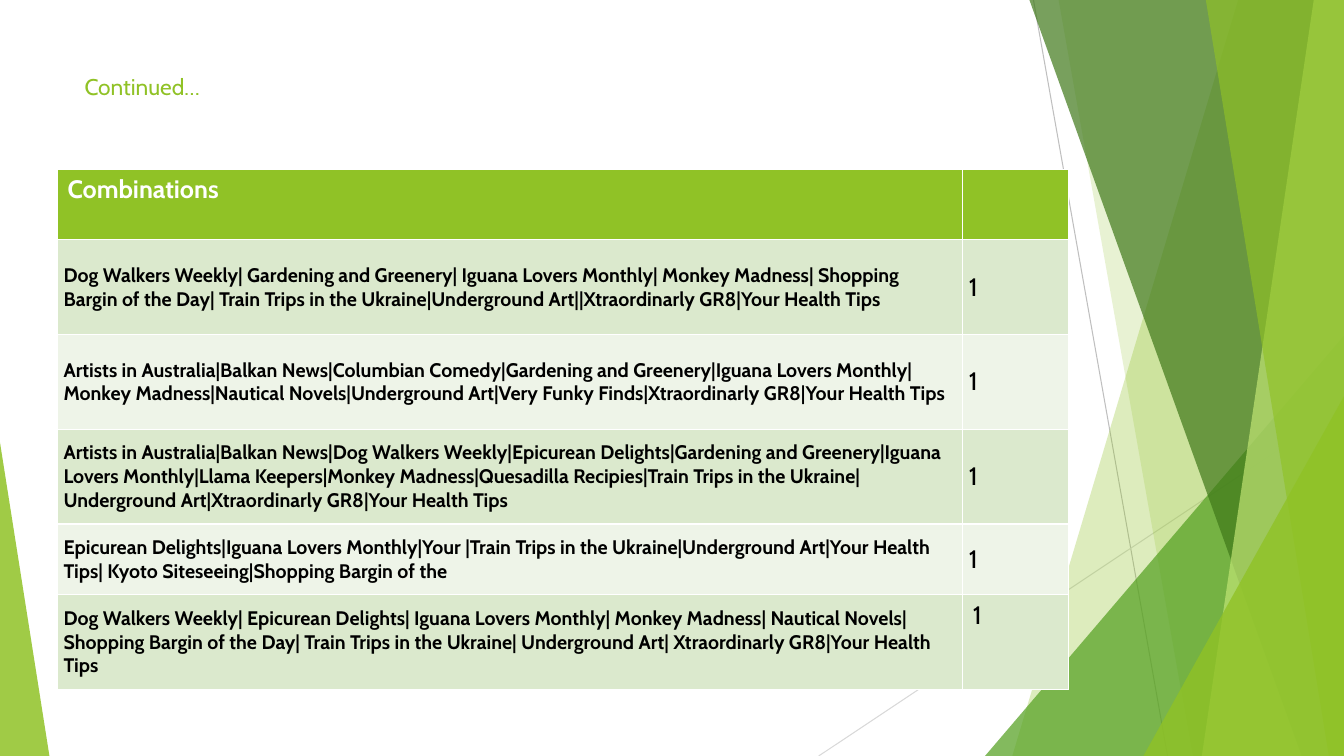
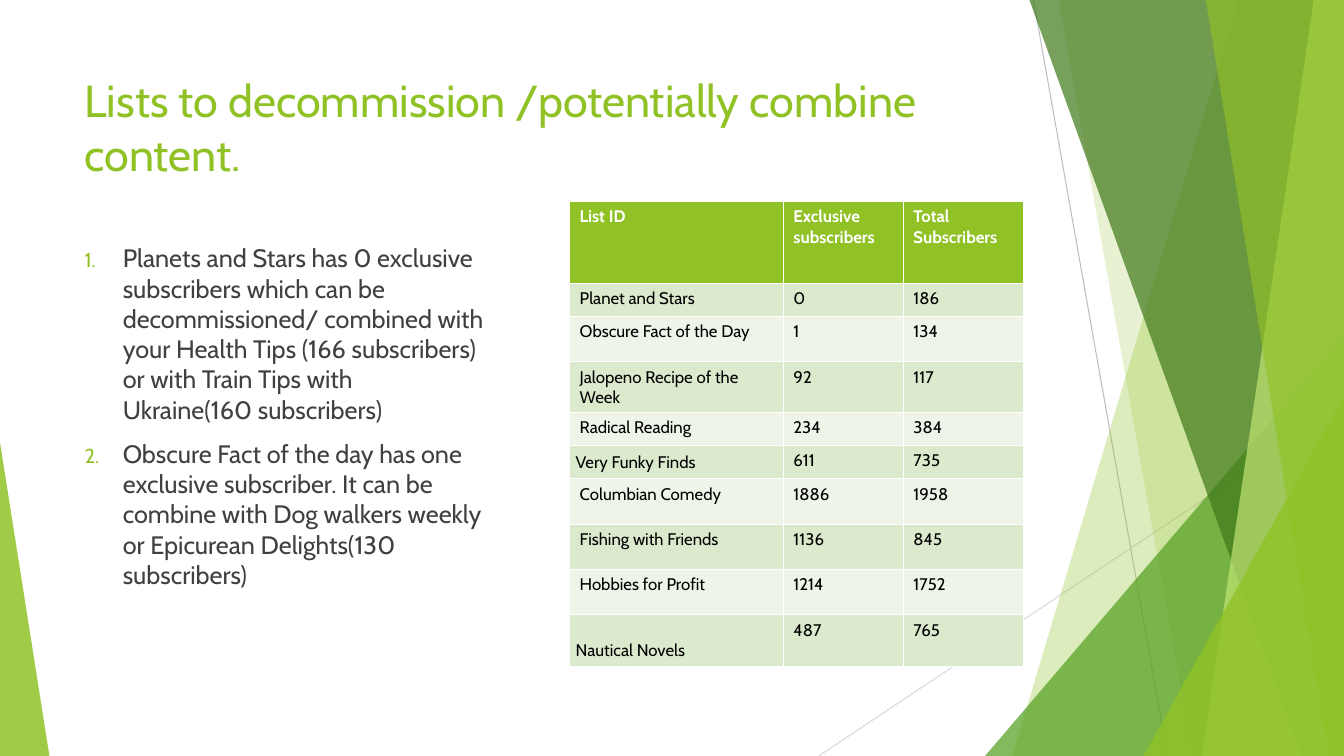
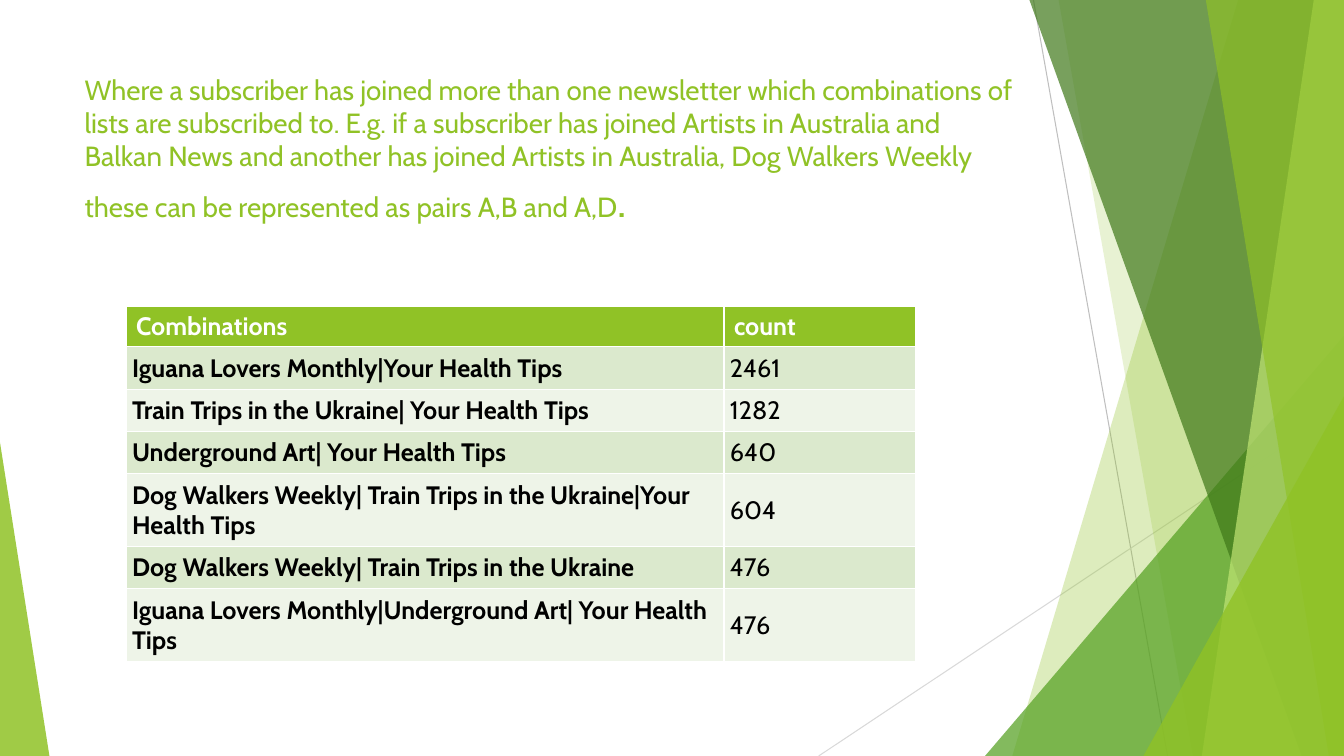
from lxml import etree
from pptx import Presentation
from pptx.dml.color import RGBColor
from pptx.enum import shapes, text
from pptx.oxml.ns import qn
from pptx.util import Inches, Pt

FONT = "Cabin"
GREEN, LEAF, FOREST, LIME = "90C226", "54A021", "3F7819", "C0E474"
BANDS = ["DBE9CD", "EEF4E8"]
WHITE, BLACK, BODY_GREY = "FFFFFF", "000000", "404040"
WIDTH, HEIGHT = 13.33, 7.5
TITLE_BOX = [Inches(v) for v in (0.74, 0.67, 9.4, 1.14)]
SNUG = Inches(0.06)

# Thin lines: x1, y1, x2, y2, colour
RAYS = [(10.25, 0, 11.58, 7.5, "BFBFBF"), (13.33, 4.03, 8.12, 7.5, "D9D9D9")]

# Bands reach the right edge and give (top x, bottom x);
# triangles give (left, top, width, height, apex). Then colour and opacity.
FACETS = [
    ((12.28, 10.04), GREEN, 30),
    ((10.5, 11.83), GREEN, 20),
    ((9.77, 3.33, 3.56, 4.17, 1), LEAF, 72),
    ((10.21, 12.91), FOREST, 70),
    ((13.03, 11.92), LIME, 70),
    ((11.96, 13.18), GREEN, 65),
    ((11.34, 3.93, 1.99, 3.57, 1), GREEN, 80),
    ((0, 4.39, 0.49, 3.11, 0), GREEN, 85),
]

ADVICE = [
    "Planets and Stars has 0 exclusive subscribers which can be decommissioned/ combined with "
    "your Health Tips (166 subscribers) or with Train Tips with Ukraine(160 subscribers)",
    "Obscure Fact of the day has one exclusive subscriber. It can be combine with Dog walkers "
    "weekly or Epicurean Delights(130 subscribers)",
]

# sizes and bold apply to the body, column by column; snug cells have small margins
PAGES = [
    {
        "title": [("Continued…", 16.2)],
        "advice": [],
        "corner": (0.57, 1.68),
        "columns": [8.98, 1.05],
        "heights": [0.7, 0.94, 0.94, 0.94, 0.7, 0.94],
        "header_size": 18, "sizes": [14, 18], "bold": [True, False],
        "snug": [(r, c) for r in range(1, 6) for c in range(2) if (r, c) != (5, 1)],
        "rows": [
            ("Combinations", ""),
            ("Dog Walkers Weekly| Gardening and Greenery| Iguana Lovers Monthly| Monkey Madness| "
             "Shopping Bargin of the Day| Train Trips in the Ukraine|Underground Art||"
             "Xtraordinarly GR8|Your Health Tips", "1"),
            ("Artists in Australia|Balkan News|Columbian Comedy|Gardening and Greenery|"
             "Iguana Lovers Monthly|Monkey Madness|Nautical Novels|Underground Art|"
             "Very Funky Finds|Xtraordinarly GR8|Your Health Tips", "1"),
            ("Artists in Australia|Balkan News|Dog Walkers Weekly|Epicurean Delights|"
             "Gardening and Greenery|Iguana Lovers Monthly|Llama Keepers|Monkey Madness|"
             "Quesadilla Recipies|Train Trips in the Ukraine|Underground Art|"
             "Xtraordinarly GR8|Your Health Tips", "1"),
            ("Epicurean Delights|Iguana Lovers Monthly|Your |Train Trips in the Ukraine|"
             "Underground Art|Your Health Tips| Kyoto Siteseeing|Shopping Bargin of the", "1"),
            ("Dog Walkers Weekly| Epicurean Delights| Iguana Lovers Monthly| Monkey Madness| "
             "Nautical Novels| Shopping Bargin of the Day| Train Trips in the Ukraine| "
             "Underground Art| Xtraordinarly GR8|Your Health Tips", "1"),
        ],
    },
    {
        "title": [("Lists to decommission /potentially combine content.", 32)],
        "advice": ADVICE,
        "corner": (5.65, 2),
        "columns": [2.12, 1.19, 1.19],
        "heights": [0.81, 0.33, 0.45, 0.5, 0.33, 0.33, 0.45, 0.45, 0.45, 0.51],
        "header_size": 12, "sizes": [12] * 3, "bold": [False] * 3,
        "snug": [(5, 0), (9, 0)],
        "rows": [
            ("List ID", "Exclusive subscribers", "Total Subscribers"),
            ("Planet and Stars", "0", "186"),
            ("Obscure Fact of the Day", "1", "134"),
            ("Jalopeno Recipe of the Week", "92", "117"),
            ("Radical Reading", "234", "384"),
            ("Very Funky Finds", "611", "735"),
            ("Columbian Comedy", "1886", "1958"),
            ("Fishing with Friends", "1136", "845"),
            ("Hobbies for Profit", "1214", "1752"),
            ("Nautical Novels", "487", "765"),
        ],
    },
    {
        "title": [
            ("Where a subscriber has joined more than one newsletter which combinations of lists "
             "are subscribed to. E.g. if a subscriber has joined Artists in Australia and Balkan "
             "News and another has joined Artists in Australia, Dog Walkers Weekly these can be "
             "represented as pairs A,B and A,D", 19.8),
            (".", 32.4),
        ],
        "advice": [],
        "corner": (1.25, 3.04),
        "columns": [5.93, 1.9],
        "heights": [0.4] * 7,
        "header_size": 18, "sizes": [18, 18], "bold": [True, False],
        "snug": [(r, c) for r in range(1, 7) for c in range(2)],
        "rows": [
            ("Combinations", "count"),
            ("Iguana Lovers Monthly|Your Health Tips", "2461"),
            ("Train Trips in the Ukraine| Your Health Tips", "1282"),
            ("Underground Art| Your Health Tips", "640"),
            ("Dog Walkers Weekly| Train Trips in the Ukraine|Your Health Tips", "604"),
            ("Dog Walkers Weekly| Train Trips in the Ukraine", "476"),
            ("Iguana Lovers Monthly|Underground Art| Your Health Tips", "476"),
        ],
    },
]


def paint(fill, colour):
    fill.solid()
    fill.fore_color.rgb = RGBColor.from_string(colour)


def write(paragraph, words, size, colour, bold=False):
    """Append one formatted run to the paragraph."""
    run = paragraph.add_run()
    run.text = words
    for name, value in {"name": FONT, "size": Pt(size), "bold": bold}.items():
        setattr(run.font, name, value)
    paint(run.font.fill, colour)


deck = Presentation()
deck.slide_width, deck.slide_height = Inches(WIDTH), Inches(HEIGHT)

for page in PAGES:
    slide = deck.slides.add_slide(deck.slide_layouts[6])

    # Faceted backdrop
    for *ends, colour in RAYS:
        ray = slide.shapes.add_connector(
            shapes.MSO_CONNECTOR.STRAIGHT, *[Inches(v) for v in ends])
        ray.line.width = Pt(0.75)
        paint(ray.line.fill, colour)
        etree.SubElement(ray._element.spPr, qn("a:effectLst"))
    for geometry, colour, opacity in FACETS:
        if len(geometry) == 2:
            top_x, bottom_x = geometry
            corners = [(Inches(x), Inches(y)) for x, y in (
                (top_x, 0), (WIDTH, 0), (WIDTH, HEIGHT), (bottom_x, HEIGHT))]
            outline = slide.shapes.build_freeform(*corners[0])
            outline.add_line_segments(corners[1:], close=True)
            facet = outline.convert_to_shape()
        else:
            *box, apex = geometry
            facet = slide.shapes.add_shape(
                shapes.MSO_SHAPE.ISOSCELES_TRIANGLE, *[Inches(v) for v in box])
            facet.adjustments[0] = apex
        facet.shadow.inherit = False
        facet.line.fill.background()
        paint(facet.fill, colour)
        tint = facet._element.spPr.find(qn("a:solidFill")).find(qn("a:srgbClr"))
        etree.SubElement(tint, qn("a:alpha"), val=str(opacity * 1000))

    title = slide.shapes.add_textbox(*TITLE_BOX).text_frame
    title.word_wrap = True
    for words, size in page["title"]:
        write(title.paragraphs[0], words, size, GREEN)

    # Numbered advice
    if page["advice"]:
        advice = slide.shapes.add_textbox(
            Inches(0.74), Inches(2.36), Inches(4.16), Inches(4.24)).text_frame
        advice.word_wrap = True
        for index, words in enumerate(page["advice"]):
            item = advice.add_paragraph() if index else advice.paragraphs[0]
            properties = item._p.get_or_add_pPr()
            properties.set("marL", str(Inches(0.38)))
            properties.set("indent", str(-Inches(0.38)))
            number_colour = etree.SubElement(properties, qn("a:buClr"))
            etree.SubElement(number_colour, qn("a:srgbClr"), val=GREEN)
            etree.SubElement(properties, qn("a:buSzPct"), val="80000")
            etree.SubElement(properties, qn("a:buFont"), typeface=FONT)
            etree.SubElement(properties, qn("a:buAutoNum"), type="arabicPeriod")
            item.space_before = Pt(10 if index else 0)
            write(item, words, 18, BODY_GREY)

    # Table
    rows, columns, heights = page["rows"], page["columns"], page["heights"]
    left, top = page["corner"]
    table = slide.shapes.add_table(
        len(rows), len(columns), Inches(left), Inches(top),
        Inches(sum(columns)), Inches(sum(heights))).table
    for column, width in zip(table.columns, columns):
        column.width = Inches(width)
    for r, (row, height) in enumerate(zip(rows, heights)):
        table.rows[r].height = Inches(height)
        for c, words in enumerate(row):
            cell = table.cell(r, c)
            paint(cell.fill, BANDS[(r - 1) % 2] if r else GREEN)
            if (r, c) in page["snug"]:
                cell.vertical_anchor = text.MSO_ANCHOR.MIDDLE
                for side in ("left", "top", "right", "bottom"):
                    setattr(cell, "margin_" + side, SNUG)
            if words == "Nautical Novels":
                cell.vertical_anchor = text.MSO_ANCHOR.BOTTOM
            if not words:
                continue
            line = cell.text_frame.paragraphs[0]
            if r:
                write(line, words, page["sizes"][c], BLACK, page["bold"][c])
            else:
                write(line, words, page["header_size"], WHITE, True)

deck.save("out.pptx")
